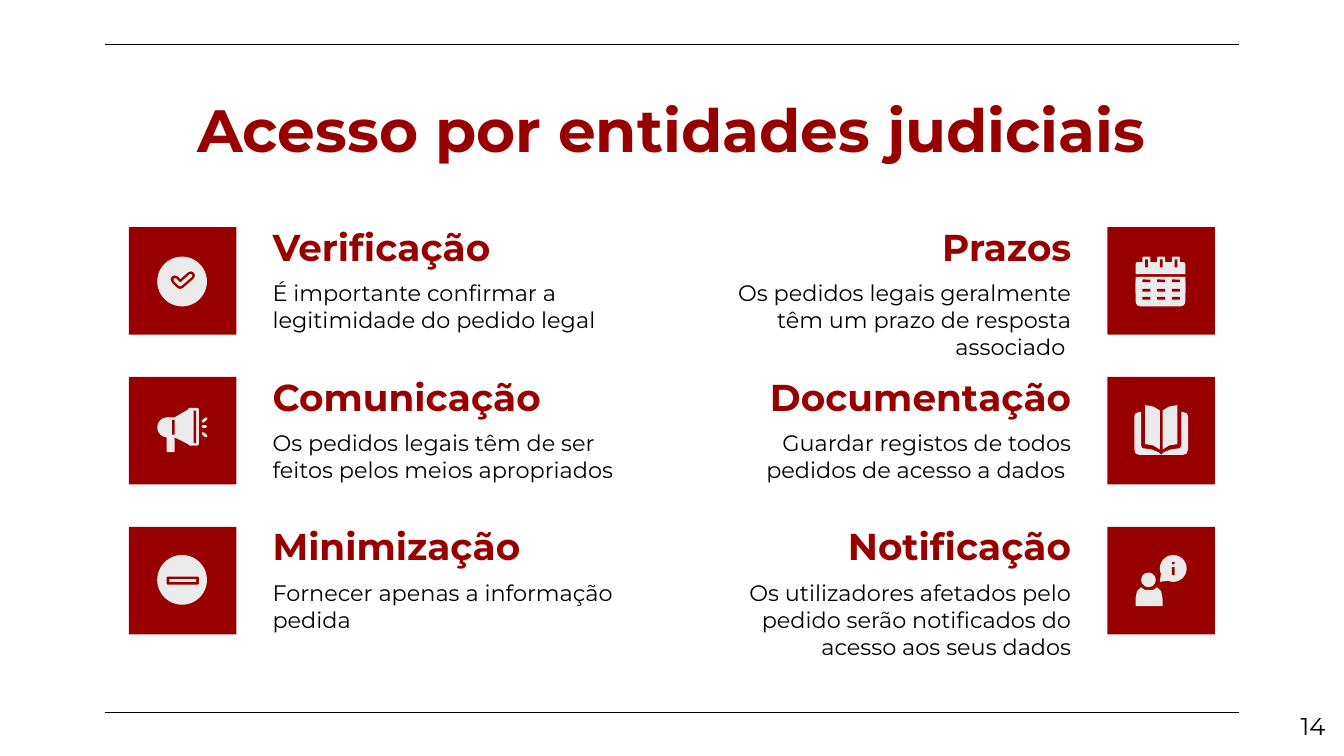
from lxml.etree import SubElement
from pptx import Presentation
from pptx.dml.color import RGBColor
from pptx.enum.shapes import MSO_CONNECTOR, MSO_SHAPE
from pptx.enum.text import MSO_ANCHOR, PP_ALIGN
from pptx.oxml.ns import qn
from pptx.util import Inches, Pt

RED = RGBColor(0x98, 0x00, 0x00)
LIGHT = RGBColor(0xEB, 0xEB, 0xEB)
BLACK = RGBColor(0x00, 0x00, 0x00)
OVAL, BOX, ROUND = MSO_SHAPE.OVAL, MSO_SHAPE.RECTANGLE, MSO_SHAPE.ROUNDED_RECTANGLE
TOP_ROUND = MSO_SHAPE.ROUND_2_SAME_RECTANGLE

WIDTH = 10
HEIGHT = WIDTH * 9 / 16
MARGIN = 0.78
TILE = 0.8
TILE_LEFTS = (0.96, WIDTH - 0.96 - TILE)
TEXT_LEFTS = (1.93, 5.23)
TEXT_WIDTH = 2.84
FIRST_ROW, LAST_ROW = 1.69, 3.92
ROW_STEP = (LAST_ROW - FIRST_ROW) / 2

presentation = Presentation()
presentation.slide_width = Inches(WIDTH)
presentation.slide_height = Inches(HEIGHT)
slide = presentation.slides.add_slide(presentation.slide_layouts[6])


def add_block(preset, left, top, width, height, colour):
    shape = slide.shapes.add_shape(preset, Inches(left), Inches(top), Inches(width), Inches(height))
    shape.shadow.inherit = False
    shape.fill.solid()
    shape.fill.fore_color.rgb = colour
    shape.line.fill.background()


def add_outline(points, colour, stroke=0):
    """Draw a filled polygon, or an open round-capped line if stroke (points) is given."""
    corners = [(Inches(x), Inches(y)) for x, y in points]
    builder = slide.shapes.build_freeform(*corners[0])
    builder.add_line_segments(corners[1:], close=not stroke)
    shape = builder.convert_to_shape()
    shape.shadow.inherit = False
    if stroke:
        shape.fill.background()
        shape.line.color.rgb = colour
        shape.line.width = Pt(stroke)
        line = shape.element.spPr.find(qn("a:ln"))
        line.set("cap", "rnd")
        SubElement(line, qn("a:round"))
    else:
        shape.fill.solid()
        shape.fill.fore_color.rgb = colour
        shape.line.fill.background()


for y in (0.33, 5.3):
    rule = slide.shapes.add_connector(
        MSO_CONNECTOR.STRAIGHT, Inches(MARGIN), Inches(y), Inches(WIDTH - MARGIN), Inches(y))
    rule.line.color.rgb = BLACK
    rule.line.width = Pt(0.75)
    SubElement(rule._element.spPr, qn("a:effectLst"))

# Topics by column, then row
topics = [
    [("Verificação", "É importante confirmar a legitimidade do pedido legal"),
     ("Comunicação", "Os pedidos legais têm de ser feitos pelos meios apropriados"),
     ("Minimização", "Fornecer apenas a informação pedida")],
    [("Prazos", "Os pedidos legais geralmente têm um prazo de resposta associado "),
     ("Documentação", "Guardar registos de todos pedidos de acesso a dados "),
     ("Notificação", "Os utilizadores afetados pelo pedido serão notificados do acesso aos seus dados")],
]
texts = [
    ("Acesso por entidades judiciais", MARGIN, 0.59, WIDTH - 2 * MARGIN, 0.63,
     32, RED, PP_ALIGN.CENTER, MSO_ANCHOR.TOP),
    ("14", 9.36, 5.19, 0.6, 0.43, 13, BLACK, PP_ALIGN.RIGHT, MSO_ANCHOR.TOP),
]
for left, align, column in zip(TEXT_LEFTS, (PP_ALIGN.LEFT, PP_ALIGN.RIGHT), topics):
    for row, (heading, body) in enumerate(column):
        top = FIRST_ROW + row * ROW_STEP
        texts.append((heading, left, top - 0.06, TEXT_WIDTH, 0.47, 20, RED, align, MSO_ANCHOR.BOTTOM))
        texts.append((body, left, top + 0.29, TEXT_WIDTH, 0.53, 12, BLACK, align, MSO_ANCHOR.TOP))

for text, left, top, width, height, size, colour, align, anchor in texts:
    frame = slide.shapes.add_textbox(
        Inches(left), Inches(top), Inches(width), Inches(height)).text_frame
    frame.word_wrap = True
    frame.vertical_anchor = anchor
    frame.margin_left = frame.margin_right = frame.margin_top = frame.margin_bottom = Inches(0.1)
    paragraph = frame.paragraphs[0]
    paragraph.text = text
    paragraph.alignment = align
    paragraph.font.name = "Montserrat"
    paragraph.font.size = Pt(size)
    paragraph.font.bold = colour == RED
    paragraph.font.color.rgb = colour

# Icon parts in hundredths of an inch from the tile's corner:
# (preset, left, top, width, height, colour) or (points, colour, stroke)
check_mark = [(34, 39), (38, 43), (46, 36)]
check = [(OVAL, 21, 22, 37, 37, LIGHT), (check_mark, RED, 4.4), (check_mark, LIGHT, 1.8)]
megaphone = [
    (OVAL, 21, 30, 15, 15, LIGHT),
    (BOX, 28, 30, 7, 15, LIGHT),
    (ROUND, 28, 40, 6, 16, LIGHT),
    ([(34, 30), (46, 23), (46, 51), (34, 45)], LIGHT, 0),
    (ROUND, 44, 23, 8, 28, LIGHT),
    (BOX, 32, 32, 2, 11, RED),
    (BOX, 48, 25, 2, 24, RED),
    ([(55, 37), (57, 37)], LIGHT, 1.5),
    ([(55, 33), (57.5, 31)], LIGHT, 1.5),
    ([(55, 42), (57.5, 44)], LIGHT, 1.5),
]
minus = [(OVAL, 21, 21, 37, 37, LIGHT), (ROUND, 28, 37, 24, 6, RED), (BOX, 30, 39, 20, 2, LIGHT)]

calendar = [(TOP_ROUND, 21, 26, 37, 9, LIGHT), (ROUND, 21, 37, 37, 22, LIGHT), (BOX, 21, 37, 37, 12, LIGHT)]
for x in (26, 37, 48):
    calendar += [(ROUND, x, 22, 6, 10, LIGHT), (ROUND, x + 2, 24, 2, 6, RED)]
    calendar += [(ROUND, x, y, 6, 2, RED) for y in (39, 46, 52)]

page = [(28, 21), (34, 22), (39, 25), (39, 54), (34, 51), (28, 50)]
cover = [(20, 29), (21, 27), (24, 26), (25, 26), (25, 51), (26, 53), (33, 54),
         (38, 56), (40, 58), (24, 58), (21, 57), (20, 54)]
book = []
for half in (page, cover):
    book += [(half, LIGHT, 0), ([(80 - x, y) for x, y in half], LIGHT, 0)]

person = [
    (OVAL, 25, 34, 11, 11, LIGHT),
    ([(25, 45), (28, 47), (34, 47), (37, 45), (40, 48), (41, 53), (41, 59),
      (21, 59), (21, 53), (22, 48)], LIGHT, 0),
    (OVAL, 39, 21, 20, 20, LIGHT),
    ([(40, 34), (39, 41), (46, 40)], LIGHT, 0),
    (OVAL, 48, 26, 2, 2, RED),
    (ROUND, 48, 30, 2, 6, RED),
]

for tile_left, icons in zip(TILE_LEFTS, ([check, megaphone, minus], [calendar, book, person])):
    for row, icon in enumerate(icons):
        tile_top = FIRST_ROW + row * ROW_STEP
        add_block(BOX, tile_left, tile_top, TILE, TILE, RED)
        for part in icon:
            if len(part) == 3:
                points, colour, stroke = part
                add_outline([(tile_left + x / 100, tile_top + y / 100) for x, y in points], colour, stroke)
            else:
                preset, x, y, width, height, colour = part
                add_block(preset, tile_left + x / 100, tile_top + y / 100,
                          width / 100, height / 100, colour)

presentation.save("out.pptx")
